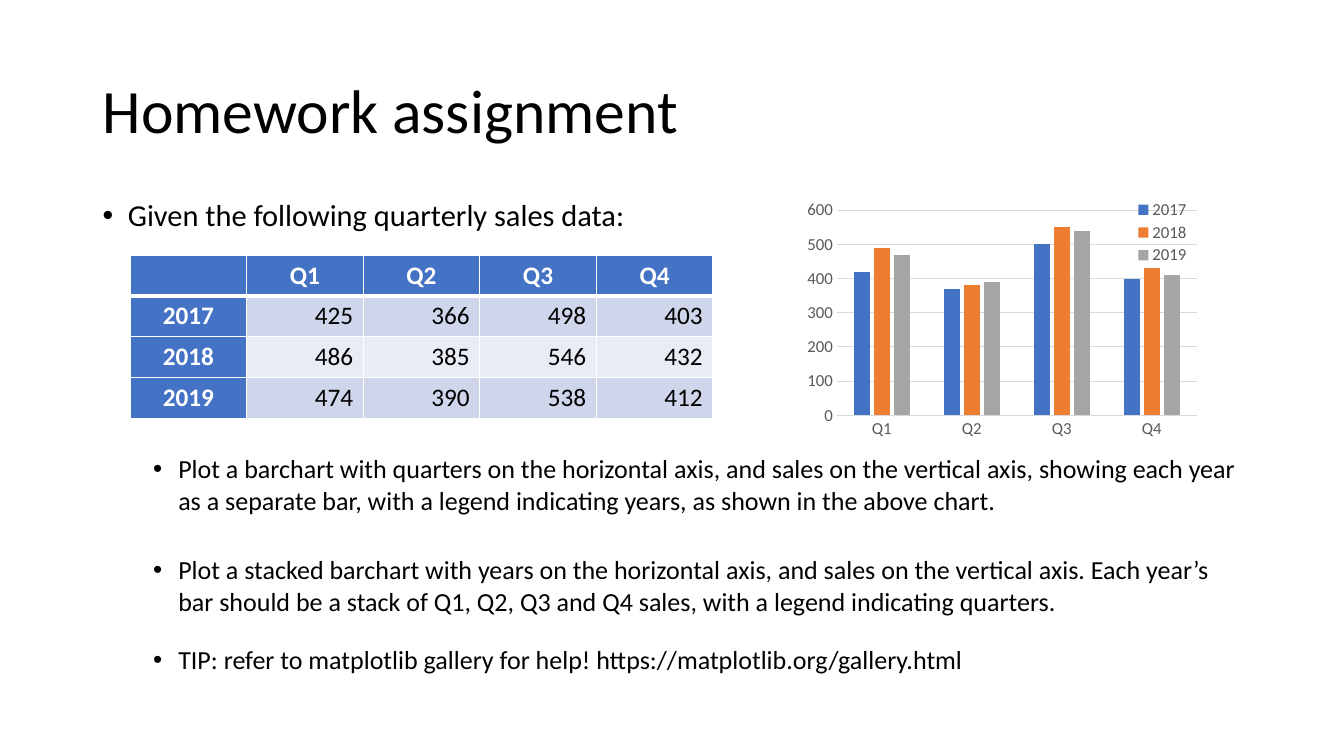
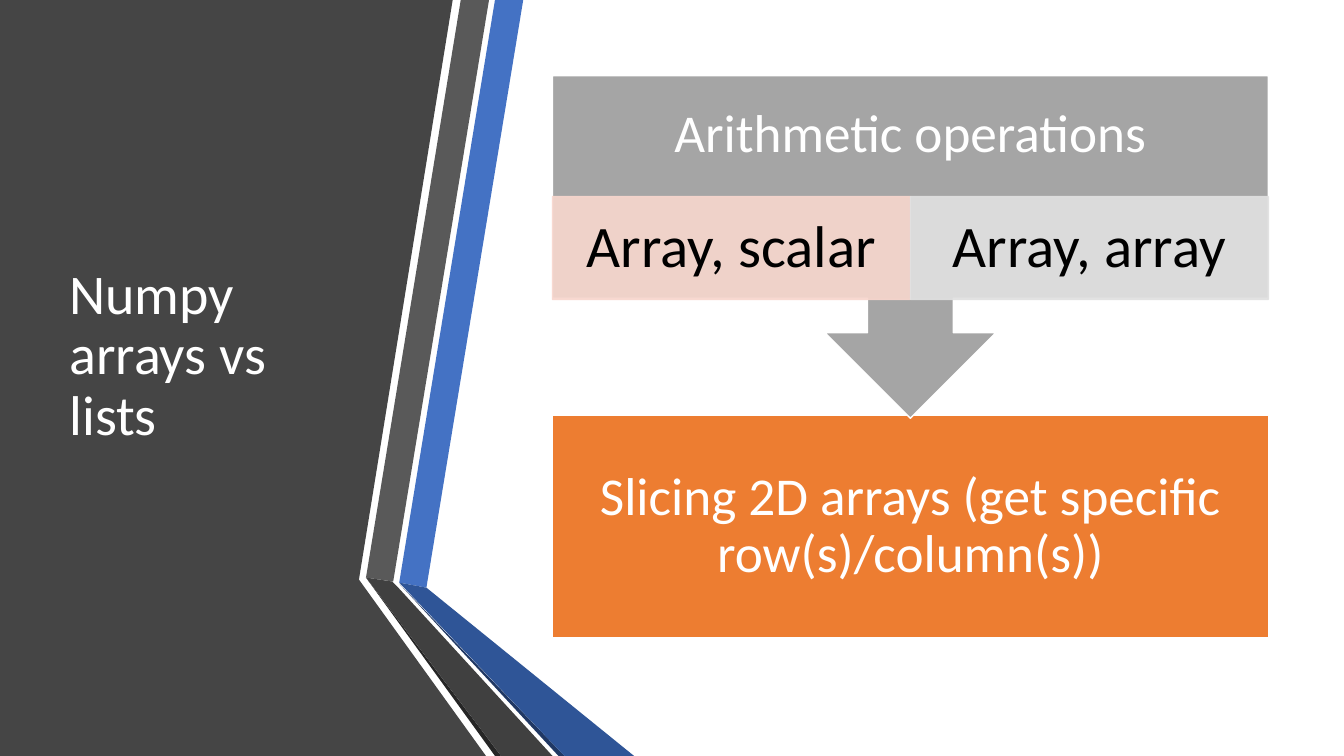
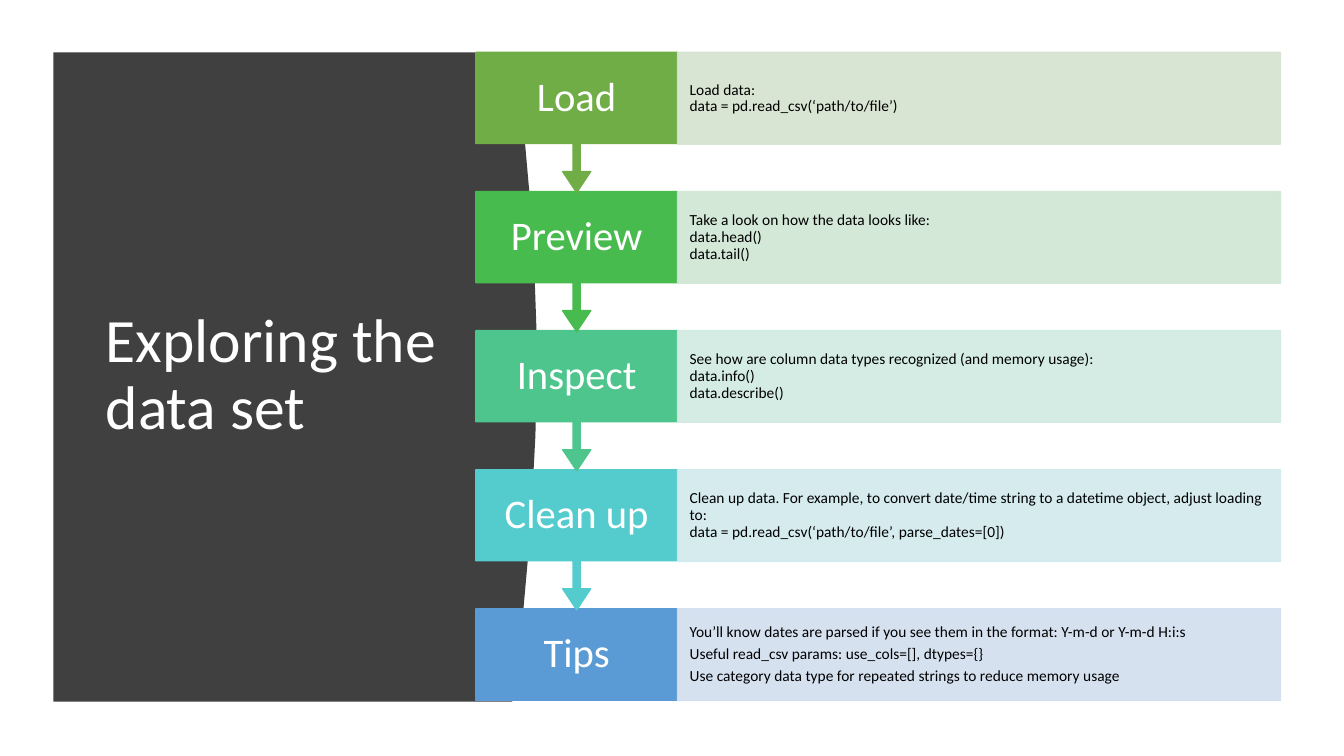
from copy import deepcopy

from lxml.etree import SubElement
from pptx import Presentation
from pptx.chart.data import CategoryChartData
from pptx.dml.color import RGBColor
from pptx.enum.chart import XL_CHART_TYPE, XL_LEGEND_POSITION, XL_TICK_MARK
from pptx.enum.shapes import MSO_SHAPE
from pptx.enum.text import MSO_ANCHOR, PP_ALIGN
from pptx.oxml.ns import qn
from pptx.util import Pt

PX = 9144
FONT = "Calibri"
SLIDE = (0, 0, 1333, 750)
COLORS = {
    "white": "FFFFFF", "black": "000000", "blue": "4472C4", "orange": "ED7D31",
    "gray": "A5A5A5", "label": "595959", "grid": "D9D9D9",
    "band_dark": "CFD5EA", "band_light": "E9EBF5",
    "panel": "454545", "stripe": "595959", "stripe_fold": "404040",
    "stripe_edge": "262626", "blue_fold": "2F5597", "blue_edge": "203864",
    "peach": "F8D7CE", "silver": "E1E1E1", "charcoal": "404040",
    "load": "70AD47", "load_tint": "D5E3CF",
    "preview": "48BB4F", "preview_tint": "D0E6D4",
    "inspect": "4DC58D", "inspect_tint": "D0EAE1",
    "clean": "54CCCD", "clean_tint": "D1E9ED",
    "tips": "5B9BD5", "tips_tint": "D2DEEF",
}

QUARTERS = ["Q1", "Q2", "Q3", "Q4"]
SALES = {
    "2017": [425, 366, 498, 403],
    "2018": [486, 385, 546, 432],
    "2019": [474, 390, 538, 412],
}
TASKS = [
    ("Given the following quarterly sales data:", 21.7, 25, 0),
    ("Plot a barchart with quarters on the horizontal axis, and sales on the "
     "vertical axis, showing each year as a separate bar, with a legend "
     "indicating years, as shown in the above chart.", 18.6, 75, 157),
    ("Plot a stacked barchart with years on the horizontal axis, and sales on "
     "the vertical axis. Each year’s bar should be a stack of Q1, Q2, Q3 and "
     "Q4 sales, with a legend indicating quarters.", 18.6, 75, 27.5),
    ("TIP: refer to matplotlib gallery for help! "
     "https://matplotlib.org/gallery.html", 18.6, 75, 19.5),
]
STRIPES = [
    ("panel", [(0, 0), (449, 0), (356, 575), (482, 750), (0, 750)]),
    ("blue", [(396, 578), (423, 583), (519, 0), (491, 0)]),
    ("stripe", [(485, 0), (457, 0), (363, 573), (390, 577)]),
    ("stripe_edge", [(363, 573), (491, 750), (497, 750)]),
    ("blue_edge", [(396, 579), (554, 750), (560, 750)]),
    ("blue_fold", [(396, 578), (560, 750), (629, 750), (423, 583)]),
    ("stripe_fold", [(363, 573), (497, 750), (548, 750), (395, 583),
                     (389, 577)]),
]
CURVED_PANEL = [
    (0, 0), (455, 0), (461, 37), (467, 82), (471, 127), (475, 172), (477, 216),
    (479, 273), (479, 342), (478, 381), (476, 419), (474, 466), (470, 509),
    (465, 565), (455, 644), (0, 644),
]
STEPS = [
    ("Load", "load", ["Load data:\ndata = pd.read_csv(‘path/to/file’)"]),
    ("Preview", "preview",
     ["Take a look on how the data looks like:\ndata.head()\ndata.tail()"]),
    ("Inspect", "inspect",
     ["See how are column data types recognized (and memory usage):\n"
      "data.info()\ndata.describe()"]),
    ("Clean up", "clean",
     ["Clean up data. For example, to convert date/time string to a datetime "
      "object, adjust loading to:\n"
      "data = pd.read_csv(‘path/to/file’, parse_dates=[0])"]),
    ("Tips", "tips",
     ["You’ll know dates are parsed if you see them in the format: "
      "Y-m-d or Y-m-d H:i:s",
      "Useful read_csv params: use_cols=[], dtypes={}",
      "Use category data type for repeated strings to reduce memory usage"]),
]


def emu(*lengths):
    return [round(n * PX) for n in lengths]


def rgb(name):
    return RGBColor.from_string(COLORS[name])


def assign(obj, **values):
    for name, value in values.items():
        setattr(obj, name, value)


def style_font(font, size, color, bold=False):
    assign(font, name=FONT, size=Pt(size), bold=bold)
    font.color.rgb = rgb(color)


def write(tf, paragraphs, size, color, insets=(10, 5, 10, 5),
          anchor=MSO_ANCHOR.MIDDLE, **fmt):
    left, top, right, bottom = emu(*insets)
    assign(tf, word_wrap=True, vertical_anchor=anchor, margin_left=left,
           margin_top=top, margin_right=right, margin_bottom=bottom)
    for i, text in enumerate(paragraphs):
        p = tf.paragraphs[0] if i == 0 else tf.add_paragraph()
        p.text = text
        assign(p, **fmt)
        for r in p.runs:
            style_font(r.font, size, color)
        for br in p._p.findall(qn("a:br")):
            br.append(deepcopy(p.runs[0]._r.rPr))


def add_title(s, box, text, size, color):
    tf = s.shapes.add_textbox(*emu(*box)).text_frame
    write(tf, [text], size, color, line_spacing=0.9)


def paint(sp, color, line=None, opacity=None):
    sp.shadow.inherit = False
    sp.fill.solid()
    sp.fill.fore_color.rgb = rgb(color)
    if line:
        sp.line.color.rgb = rgb(line)
        sp.line.width = Pt(1)
    else:
        sp.line.fill.background()
    if opacity:
        for fill in sp._element.spPr.iter(qn("a:srgbClr")):
            SubElement(fill, qn("a:alpha"), val=str(opacity * 1000))


def add_block(s, kind, box, color, line, opacity=None, adjust=()):
    sp = s.shapes.add_shape(kind, *emu(*box))
    for i, value in enumerate(adjust):
        sp.adjustments[i] = value
    paint(sp, color, line, opacity)
    return sp.text_frame


def add_outline(s, box, points, color):
    builder = s.shapes.build_freeform(*points[0], scale=PX)
    builder.add_line_segments(points[1:], close=True)
    paint(builder.convert_to_shape(*emu(*box[:2])), color)


def add_tasks(s, box):
    tf = s.shapes.add_textbox(*emu(*box)).text_frame
    write(tf, [task[0] for task in TASKS], 18.6, "black", (10, 0, 10, 0),
          anchor=MSO_ANCHOR.TOP, line_spacing=1.0)
    for p, (text, size, indent, before) in zip(tf.paragraphs, TASKS):
        p.space_before = Pt(before)
        p.runs[0].font.size = Pt(size)
        pPr = p._p.get_or_add_pPr()
        pPr.set("marL", str(indent * PX))
        pPr.set("indent", str(-25 * PX))
        SubElement(pPr, qn("a:buFont"), typeface="Arial")
        SubElement(pPr, qn("a:buChar"), char="•")


def add_border(cell, side, width):
    ln = SubElement(cell._tc.get_or_add_tcPr(), qn("a:ln" + side),
                    w=str(Pt(width)))
    fill = SubElement(ln, qn("a:solidFill"))
    SubElement(fill, qn("a:srgbClr"), val=COLORS["white"])


def add_sales_table(s, box):
    rows = [["", *QUARTERS]] + [[y, *map(str, v)] for y, v in SALES.items()]
    table = s.shapes.add_table(len(rows), len(rows[0]), *emu(*box)).table
    for i, row in enumerate(rows):
        for j, text in enumerate(row):
            cell = table.cell(i, j)
            head = i == 0 or j == 0
            for side in "LRTB":
                thick = (i, side) in [(0, "B"), (1, "T")]
                add_border(cell, side, 3 if thick else 1)
            cell.fill.solid()
            band = "band_dark" if i % 2 else "band_light"
            cell.fill.fore_color.rgb = rgb("blue" if head else band)
            p = cell.text_frame.paragraphs[0]
            p.alignment = PP_ALIGN.CENTER if head else PP_ALIGN.RIGHT
            p.text = text
            for r in p.runs:
                style_font(r.font, 18, "white" if head else "black", head)


def set_layout(parent, before, **values):
    old = parent.find(qn("c:layout"))
    if old is not None:
        parent.remove(old)
    layout = SubElement(parent, qn("c:layout"))
    manual = SubElement(layout, qn("c:manualLayout"))
    for name, value in values.items():
        SubElement(manual, qn("c:" + name), val=str(value))
    parent.find(qn(before)).addprevious(layout)


def add_sales_chart(s, box):
    data = CategoryChartData()
    data.categories = QUARTERS
    for year, values in SALES.items():
        data.add_series(year, [round(value, -1) for value in values])
    chart = s.shapes.add_chart(XL_CHART_TYPE.COLUMN_CLUSTERED, *emu(*box),
                               data).chart
    chart.has_title = False
    chart.has_legend = True
    style_font(chart.font, 12, "label")
    assign(chart.legend, position=XL_LEGEND_POSITION.BOTTOM,
           include_in_layout=False)
    style_font(chart.legend.font, 12, "label")
    plot = chart.plots[0]
    assign(plot, gap_width=219, overlap=-27, vary_by_categories=False)
    for series, color in zip(plot.series, ["blue", "orange", "gray"]):
        series.format.fill.solid()
        series.format.fill.fore_color.rgb = rgb(color)
    for axis in (chart.category_axis, chart.value_axis):
        assign(axis, major_tick_mark=XL_TICK_MARK.NONE,
               minor_tick_mark=XL_TICK_MARK.NONE)
        style_font(axis.tick_labels.font, 12, "label")
    assign(chart.value_axis, minimum_scale=0, maximum_scale=600,
           major_unit=100, has_major_gridlines=True)
    chart.value_axis.format.line.fill.background()
    for lined in (chart.category_axis, chart.value_axis.major_gridlines):
        lined.format.line.color.rgb = rgb("grid")
        lined.format.line.width = Pt(0.75)
    area = plot._element.getparent()
    set_layout(area, "c:barChart", layoutTarget="inner", xMode="edge",
               yMode="edge", x=0.12, y=0.09, w=0.84, h=0.78)
    set_layout(chart.legend._element, "c:overlay", xMode="edge", yMode="edge",
               x=0.81, y=0.04, w=0.14, h=0.27)


def add_operations(s, box):
    x, y, w, h = box
    heading = {"insets": (30, 30, 30, 30), "line_spacing": 0.9,
               "alignment": PP_ALIGN.CENTER}
    tf = add_block(s, MSO_SHAPE.RECTANGLE, (x, y + 337, w, h - 337),
                   "orange", "white")
    write(tf, ["Slicing 2D arrays (get specific row(s)/column(s))"], 38,
          "white", **heading)
    tf = add_block(s, MSO_SHAPE.DOWN_ARROW_CALLOUT, (x, y, w, 340),
                   "gray", "white", adjust=(0.25, 0.25, 0.25, 0.65))
    heading["insets"] = (30, 30, 30, 132)
    write(tf, ["Arithmetic operations"], 38, "white", **heading)
    heading["insets"] = (33, 6, 33, 6)
    half = w // 2
    for i, (text, color) in enumerate([("Array, scalar", "peach"),
                                       ("Array, array", "silver")]):
        tf = add_block(s, MSO_SHAPE.RECTANGLE,
                       (x + i * half, y + 120, half, 102), color, color, 90)
        write(tf, [text], 42, "black", **heading)


def add_steps(s, box):
    x, y, w, h = box
    name_w, row_h = 200, 91
    pitch = (h - row_h) / (len(STEPS) - 1)
    for i, (name, color, notes) in reversed(list(enumerate(STEPS))):
        top = y + i * pitch
        if i == len(STEPS) - 1:
            tf = add_block(s, MSO_SHAPE.RECTANGLE, (x, top, name_w, row_h),
                           color, color)
        else:
            tf = add_block(s, MSO_SHAPE.DOWN_ARROW_CALLOUT,
                           (x, top, name_w, pitch + 1), color, color,
                           adjust=(0.05, 0.1, 0.15, 0.65))
        write(tf, [name], 29, "white", (14, 23, 14, 23),
              line_spacing=0.9, alignment=PP_ALIGN.CENTER)
        tint = color + "_tint"
        tf = add_block(s, MSO_SHAPE.RECTANGLE,
                       (x + name_w, top, w - name_w, row_h), tint, tint, 90)
        write(tf, notes, 11, "black", (12, 15, 12, 15), line_spacing=0.9,
              space_after=Pt(4), alignment=PP_ALIGN.LEFT)


def homework_slide(s):
    add_title(s, (92, 40, 1150, 145), "Homework assignment", 44, "black")
    add_tasks(s, (92, 195, 1150, 481))
    add_sales_table(s, (129, 253, 578, 162))
    add_sales_chart(s, (779, 185, 425, 261))


def arrays_slide(s):
    for color, points in STRIPES:
        add_outline(s, SLIDE, points, color)
    add_title(s, (59, 75, 304, 558), "Numpy arrays vs lists", 40, "white")
    add_operations(s, (548, 75, 710, 558))


def exploring_slide(s):
    add_outline(s, (53, 52, 479, 644), CURVED_PANEL, "charcoal")
    add_title(s, (95, 111, 374, 524), "Exploring the data set", 44, "white")
    add_steps(s, (472, 52, 798, 643))


def main():
    prs = Presentation()
    prs.slide_width, prs.slide_height = emu(*SLIDE[2:])
    for build in (homework_slide, arrays_slide, exploring_slide):
        build(prs.slides.add_slide(prs.slide_layouts[6]))
    prs.save("out.pptx")


if __name__ == "__main__":
    main()
